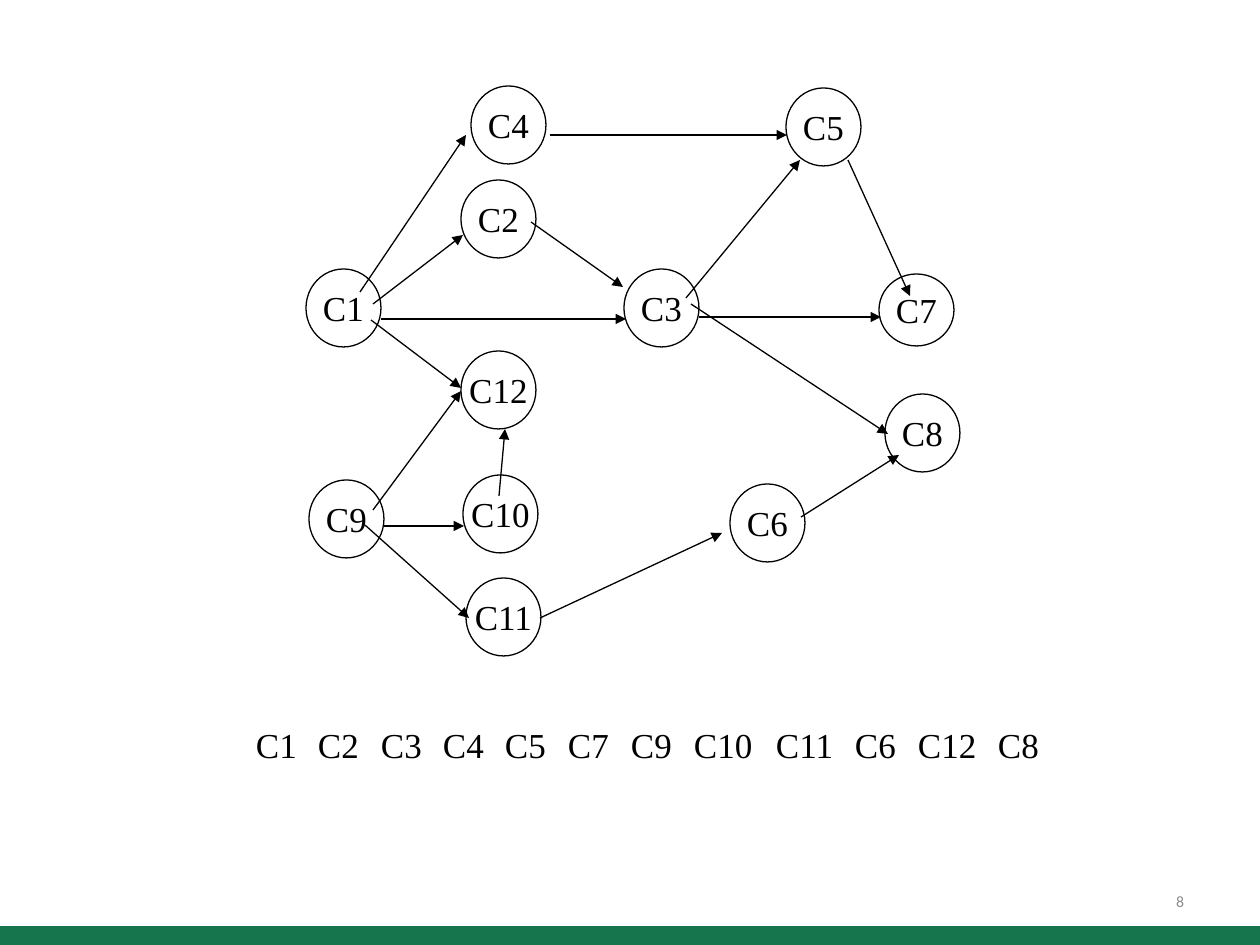
import pptx
import pptx.util
import pptx.dml.color
import pptx.enum.shapes
import pptx.enum.text
from pptx.oxml.ns import qn
from lxml import etree

PX = 914400 / 126
SERIF = "Times New Roman"
ALIGN = pptx.enum.text.PP_ALIGN
ANCHOR = pptx.enum.text.MSO_ANCHOR
SHAPE = pptx.enum.shapes.MSO_SHAPE


def color(hex_code):
    return pptx.dml.color.RGBColor.from_string(hex_code)


def write(box, text, size=20, font=SERIF, fill="000000", align=ALIGN.LEFT,
          anchor=ANCHOR.TOP, wrap=True, side=0):
    frame = box.text_frame
    frame.word_wrap = wrap
    frame.vertical_anchor = anchor
    frame.margin_left = frame.margin_right = round(side * PX)
    frame.margin_top = frame.margin_bottom = pptx.util.Inches(0.05)
    para = frame.paragraphs[0]
    para.alignment = align
    span = para.add_run()
    span.text = text
    span.font.size = pptx.util.Pt(size)
    span.font.name = font
    span.font.color.rgb = color(fill)


deck = pptx.Presentation()
deck.slide_width, deck.slide_height = round(1260 * PX), round(945 * PX)
page = deck.slides.add_slide(deck.slide_layouts[6])

# Footer bar
bar = page.shapes.add_shape(SHAPE.RECTANGLE, 0, round(926 * PX), round(1260 * PX), round(19 * PX))
bar.shadow.inherit = False
bar.fill.solid()
bar.fill.fore_color.rgb = color("16754D")
bar.line.fill.background()

# Course nodes: left, top, height
nodes = {
    "C1": (306, 269, 78), "C2": (461, 180, 78), "C3": (624, 269, 78),
    "C4": (471, 86, 78), "C5": (786, 88, 78), "C6": (730, 484, 78),
    "C7": (879, 274, 72), "C8": (885, 394, 78), "C9": (309, 480, 78),
    "C10": (463, 475, 78), "C11": (466, 578, 78), "C12": (461, 351, 78),
}
for name, (left, top, height) in nodes.items():
    node = page.shapes.add_shape(
        SHAPE.OVAL, round(left * PX), round(top * PX), round(75 * PX), round(height * PX))
    node.shadow.inherit = False
    node.fill.background()
    node.line.color.rgb = color("000000")
    node.line.width = pptx.util.Pt(0.75)
    write(node, name, align=ALIGN.CENTER, anchor=ANCHOR.MIDDLE, wrap=False)

# Prerequisite arrows: start x, start y, end x, end y
arrows = [
    (381, 319, 626, 319),  # C1 to C3
    (373, 304, 463, 235),  # C1 to C2
    (531, 222, 623, 287),  # C2 to C3
    (360, 292, 466, 135),  # C1 to C4
    (550, 135, 787, 135),  # C4 to C5
    (686, 298, 800, 160),  # C3 to C5
    (699, 317, 881, 317),  # C3 to C7
    (848, 160, 910, 296),  # C5 to C7
    (371, 320, 461, 388),  # C1 to C12
    (373, 510, 461, 391),  # C9 to C12
    (384, 526, 464, 526),  # C9 to C10
    (499, 496, 505, 429),  # C10 to C12
    (365, 525, 469, 618),  # C9 to C11
    (540, 618, 722, 533),  # C11 to C6
    (801, 517, 899, 455),  # C6 to C8
    (691, 304, 888, 434),  # C3 to C8
]
for ends in arrows:
    arrow = page.shapes.add_connector(
        pptx.enum.shapes.MSO_CONNECTOR.STRAIGHT, *(round(value * PX) for value in ends))
    arrow.line.color.rgb = color("000000")
    arrow.line.width = pptx.util.Pt(0.75)
    etree.SubElement(arrow.line._get_or_add_ln(), qn("a:tailEnd"), type="triangle")
    etree.SubElement(arrow._element.spPr, qn("a:effectLst"))

# Topological order
order = {
    "C1": 256, "C2": 318, "C3": 381, "C4": 443, "C5": 505, "C7": 568,
    "C9": 631, "C10": 694, "C11": 776, "C6": 855, "C12": 918, "C8": 998,
}
for name, left in order.items():
    label = page.shapes.add_textbox(
        round(left * PX), round(717 * PX), round(63 * PX), round(55 * PX))
    write(label, name)

# Page number
number = page.shapes.add_textbox(
    round(903 * PX), round(876 * PX), round(294 * PX), round(50 * PX))
write(number, "8", size=9, font="Calibri", fill="8C8C8C", align=ALIGN.RIGHT,
      anchor=ANCHOR.MIDDLE, side=13)

deck.save("out.pptx")
